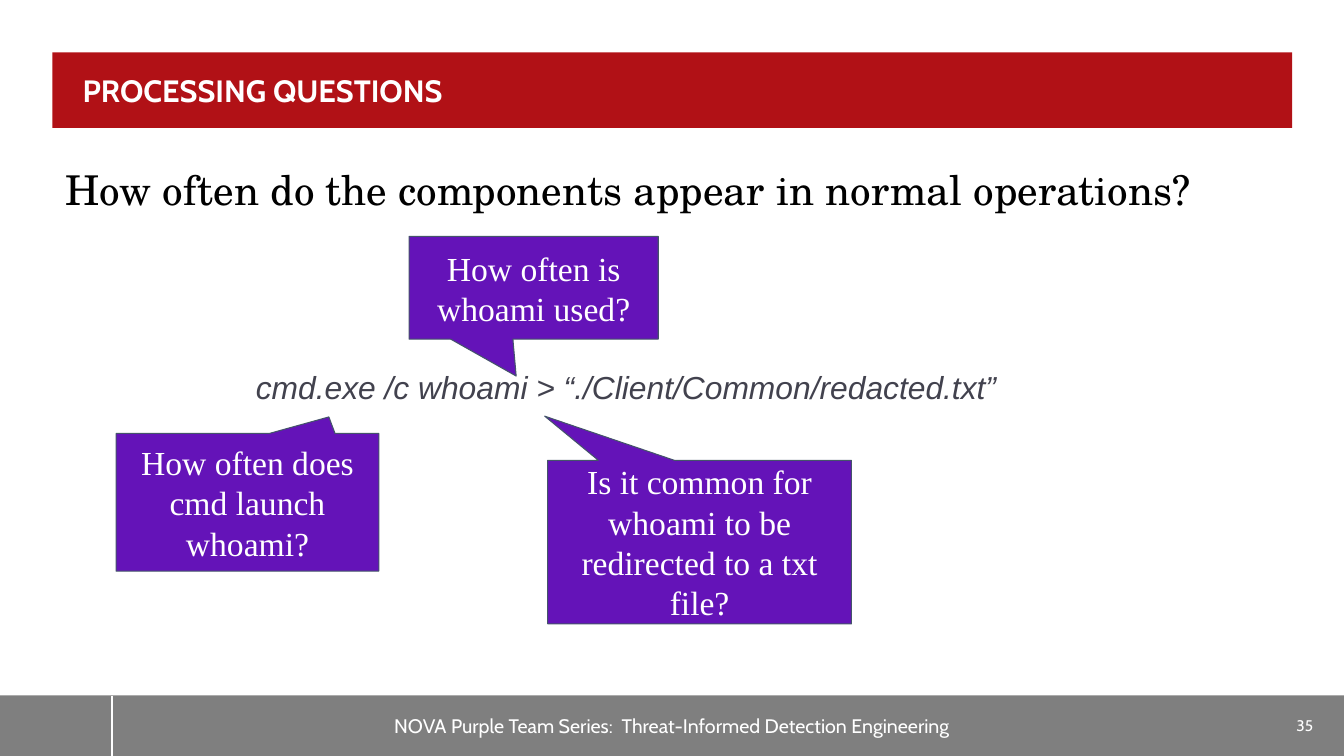
from pptx import Presentation
from pptx import util as u
from pptx.dml.color import RGBColor
from pptx.enum import shapes, text
from pptx.oxml import parse_xml
from pptx.oxml.ns import nsdecls

Pt = u.Pt
WIDE, HIGH = 960, 540
WHITE, GREY, RED, PURPLE, SLATE = "FFFFFF", "7F7F7F", "B11116", "6413B8", "44546A"
MID, LEFT = text.PP_ALIGN.CENTER, text.PP_ALIGN.LEFT
PAD = (9.6,) * 4
INSET = (7.2, 3.6, 7.2, 3.6)

TITLE = "PROCESSING QUESTIONS"
SERIES = "NOVA Purple Team Series:  Threat-Informed Detection Engineering"
NUMBER = "35"
LEAD = "How often do the components appear in normal operations?"
CODE = "cmd.exe /c whoami > “./Client/Common/redacted.txt”"
# text, (left, top, width, height), pointer offset as a share of the box
CALLS = [
    ("How often is whoami used?", (292.2, 168.8, 178, 73.4), (-0.07, 0.86)),
    ("How often does cmd launch whoami?", (83, 309.6, 187.6, 98.4), (0.31, -0.62)),
    ("Is it common for whoami to be redirected to a txt file?",
     (391.2, 328.8, 217, 116.8), (-0.51, -0.77)),
]
BASE = 43.2
FOOT = (0, HIGH - BASE, WIDE, BASE)
RULE = 80
BAR = (37.4, 37.4, 885.6, 54)


def color(code):
    return RGBColor.from_string(code)


def place(box):
    return [Pt(n) for n in box]


def write(shape, words, font, size, ink, align=MID, inset=INSET,
          anchor=text.MSO_ANCHOR.MIDDLE, wrap=True, line=None,
          bold=False, slant=False):
    frame = shape.text_frame
    frame.text = words
    frame.auto_size = text.MSO_AUTO_SIZE.NONE
    frame.word_wrap = wrap
    frame.vertical_anchor = anchor
    (frame.margin_left, frame.margin_top,
     frame.margin_right, frame.margin_bottom) = place(inset)
    para = frame.paragraphs[0]
    para.alignment = align
    para.space_before = Pt(0)
    if line:
        para.line_spacing = line
    face = para.runs[0].font
    face.name, face.size = font, Pt(size)
    face.bold, face.italic = bold, slant
    face.color.rgb = color(ink)


def block(slide, kind, box, fill, edge=None):
    """Add a filled shape, outlined only when an edge colour is given."""
    shape = slide.shapes.add_shape(kind, *place(box))
    shape.shadow.inherit = False
    shape.fill.solid()
    shape.fill.fore_color.rgb = color(fill)
    if edge:
        shape.line.color.rgb = color(edge)
        shape.line.width = Pt(0.75)
    else:
        shape.line.fill.background()
    return shape


def footer(slide):
    band = block(slide, shapes.MSO_SHAPE.RECTANGLE, FOOT, GREY)
    write(band, SERIES, "Cabin", 14, WHITE)
    rule = slide.shapes.add_connector(
        shapes.MSO_CONNECTOR.STRAIGHT, *place((RULE, HIGH - BASE, RULE, HIGH)))
    rule.line.color.rgb = color(WHITE)
    rule.line.width = Pt(2)
    rule._element.spPr.append(parse_xml("<a:effectLst %s/>" % nsdecls("a")))
    page = slide.shapes.add_textbox(*place((911.5, HIGH - BASE, 41, BASE)))
    write(page, NUMBER, "Cabin", 11, WHITE, wrap=False)


def header(slide):
    block(slide, shapes.MSO_SHAPE.RECTANGLE, BAR, RED)
    title = slide.shapes.title
    slide.shapes._spTree.append(title._element)  # in front of the bar
    title.left, title.top, title.width, title.height = place((51.8, 36.7, 856.8, 54))
    write(title, TITLE, "Cabin", 22, WHITE, LEFT, (7.2, 5, 7.2, 0),
          line=0.9, bold=True)


def body(slide):
    top = text.MSO_ANCHOR.TOP
    lead = slide.shapes.add_textbox(*place((37.4, 111.6, 856.8, 118.8)))
    write(lead, LEAD, "TeX Gyre Schola", 29.3, "000000", LEFT, PAD, top, line=0.9)
    code = slide.shapes.add_textbox(*place((0, 256.3, 894.2, 50.4)))
    write(code, CODE, "Arial", 22.7, "42424E", MID, PAD, top, line=0.9, slant=True)
    for words, box, point in CALLS:
        call = block(slide, shapes.MSO_SHAPE.RECTANGULAR_CALLOUT, box, PURPLE, SLATE)
        call.adjustments[0], call.adjustments[1] = point
        write(call, words, "Times New Roman", 24, WHITE, inset=PAD)


def main():
    deck = Presentation()
    deck.slide_width, deck.slide_height = Pt(WIDE), Pt(HIGH)
    slide = deck.slides.add_slide(deck.slide_layouts[5])
    footer(slide)
    header(slide)
    body(slide)
    deck.save("out.pptx")


if __name__ == "__main__":
    main()
